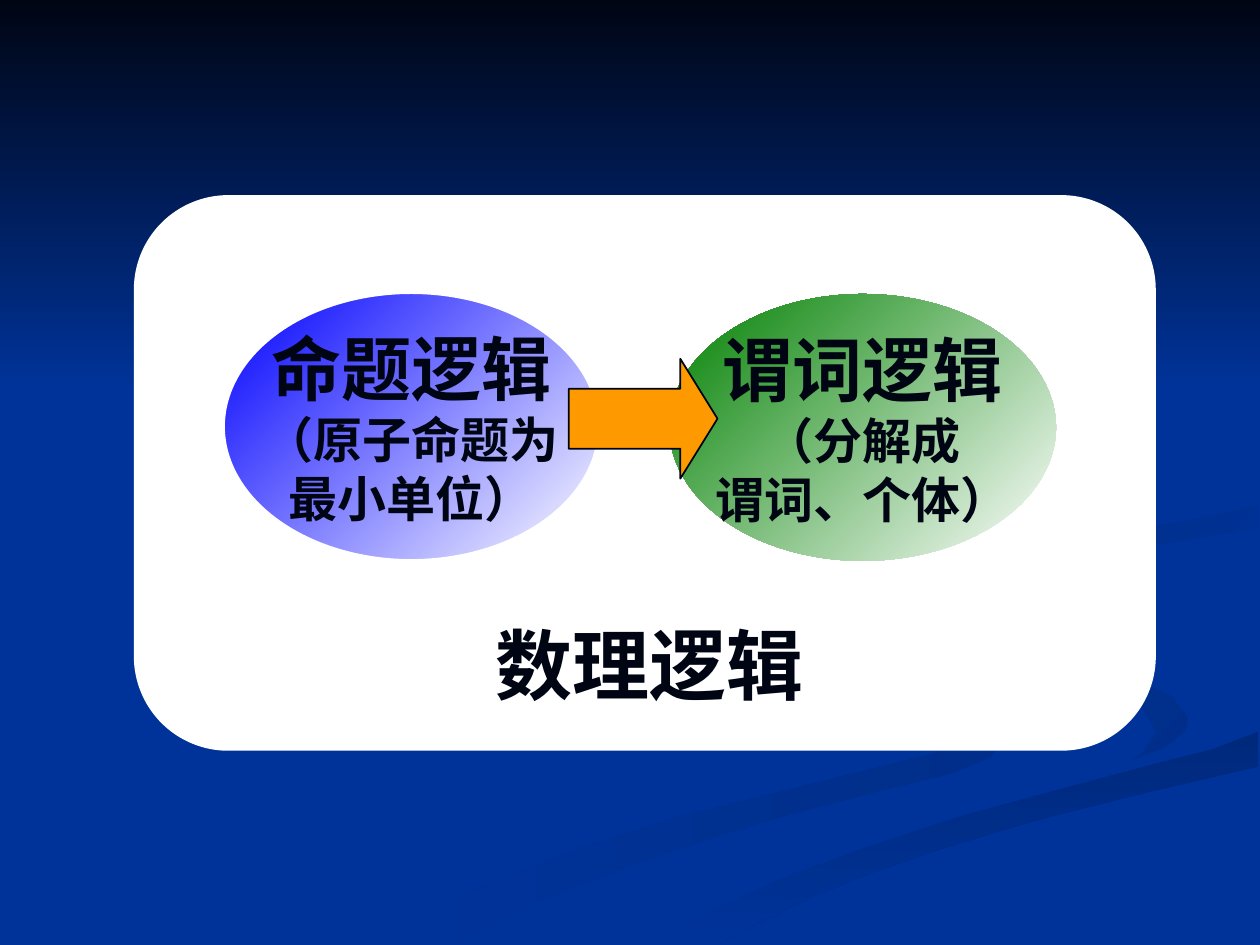
import pptx
import pptx.dml.color
import pptx.enum.shapes
import pptx.enum.text
import pptx.util

Pt = pptx.util.Pt
SHAPE = pptx.enum.shapes.MSO_SHAPE
ANCHOR = pptx.enum.text.MSO_ANCHOR

COLORS = {
    "background": "003399", "ink": "000514", "panel": "FFFFFF",
    "arrow": "FF9900", "propositional": "0000FF", "predicate": "008000",
    "band": "002E8A", "wave": "00297C", "curl": "002C85",
}

TITLE = ("数理逻辑", 44, (269, 349, 205, 60.5))

LOGICS = [
    {"lines": [("谓词逻辑", 40), ("（分解成", 28), ("谓词、个体）", 28)],
     "box": (382.5, 168, 221, 152.5), "color": "predicate", "line": None},
    {"lines": [("命题逻辑", 40), ("（原子命题为", 28), ("最小单位）", 28)],
     "box": (127.5, 167, 215, 153.5), "color": "propositional", "line": ("panel", 2)},
]

WAVE_TOP = [(410, 518), (454, 499), (501, 482), (550, 466), (598, 453),
            (650, 439), (693, 428), (719, 418)]
RIBBON_TOP = [(526, 345), (536, 353), (570, 366), (612, 377), (652, 389),
              (670, 398), (679, 410)]
CURL_TOP = [(719, 289), (672, 299), (623, 305), (592, 312), (570, 322)]

SWOOSHES = [
    (("band", "background", 180), [
        (562, 398), (536, 387), (491, 374), (451, 361), (423, 346), (413, 334),
        (412, 334), (415, 346), (440, 359), (489, 374), (534, 388), (562, 400),
        (566, 408), (557, 420), (532, 431), (492, 441), (444, 453), (388, 467),
        (330, 485), (271, 509), (243, 523), (216, 539), (260, 539), (310, 514),
        (359, 495), (406, 479), (449, 466), (503, 452), (544, 442), (566, 433),
        (574, 423), (576, 418), (572, 408)]),
    (("band", "background", 225), RIBBON_TOP[::-1] + [
        (521, 334), (523, 345), (537, 360), (562, 373), (603, 386), (634, 395),
        (653, 405), (661, 418), (653, 430), (644, 436), (660, 430), (671, 424),
        (678, 418)]),
    (("wave", "background", 90), [
        (374, 538), (362, 539), (411, 539), (432, 528), (467, 511), (500, 498),
        (541, 484), (591, 469), (650, 454), (719, 438)] + WAVE_TOP[::-1]),
    ("background", [(522, 334)] + RIBBON_TOP + [
        (678, 417), (667, 427), (642, 436), (607, 445), (562, 456), (507, 472),
        (446, 492), (379, 521), (343, 539), (362, 539), (374, 538)] + WAVE_TOP + [
        (719, 387), (678, 379), (624, 366), (588, 354), (566, 341), (562, 333)]
        + CURL_TOP[::-1] + [
        (719, 279), (662, 289), (598, 299), (554, 307), (527, 321)]),
    (("background", "curl", 225), [
        (562, 331), (566, 341), (580, 351), (595, 357), (582, 348), (580, 340),
        (588, 330), (607, 323), (632, 316), (674, 309), (719, 302)] + CURL_TOP),
]


def rgb(name):
    return pptx.dml.color.RGBColor.from_string(COLORS[name])


def set_fill(fill, paint):
    if isinstance(paint, str):
        fill.solid()
        fill.fore_color.rgb = rgb(paint)
        return
    *names, clockwise_angle = paint
    fill.gradient()
    fill.gradient_angle = 360 - clockwise_angle
    for stop, name in zip(fill.gradient_stops, names):
        stop.color.rgb = rgb(name)


def style(shape, paint, line=None):
    shape.shadow.inherit = False
    set_fill(shape.fill, paint)
    if line:
        name, width = line
        set_fill(shape.line.fill, name)
        shape.line.width = Pt(width)
    else:
        shape.line.fill.background()
    return shape


def add_preset(slide, kind, box, paint, line=None):
    shape = slide.shapes.add_shape(kind, *map(Pt, box))
    return style(shape, paint, line)


def write(shape, lines, anchor, wrap):
    frame = shape.text_frame
    frame_format = {
        "auto_size": pptx.enum.text.MSO_AUTO_SIZE.NONE,
        "vertical_anchor": anchor, "word_wrap": wrap,
        "margin_left": Pt(7.2), "margin_right": Pt(7.2),
        "margin_top": Pt(3.6), "margin_bottom": Pt(3.6),
    }
    for name, value in frame_format.items():
        setattr(frame, name, value)
    for index, (text, size) in enumerate(lines):
        paragraph = frame.add_paragraph() if index else frame.paragraphs[0]
        paragraph.alignment = pptx.enum.text.PP_ALIGN.CENTER
        run = paragraph.add_run()
        run.text = text
        font_format = {"name": "Times New Roman", "size": Pt(size), "bold": True}
        for name, value in font_format.items():
            setattr(run.font, name, value)
        run.font.color.rgb = rgb("ink")


def add_backdrop(slide):
    set_fill(slide.background.fill, "background")
    for paint, points in SWOOSHES:
        builder = slide.shapes.build_freeform(*points[0], scale=Pt(1))
        builder.add_line_segments(points[1:], close=True)
        style(builder.convert_to_shape(), paint)
    add_preset(slide, SHAPE.RECTANGLE, (0, 0, 720, 222), ("ink", "background", 90))


def add_diagram(slide):
    panel = add_preset(slide, SHAPE.ROUNDED_RECTANGLE, (76.5, 111.5, 584, 317.5), "panel")
    panel.adjustments[0] = 0.17
    for logic in LOGICS:
        ellipse = add_preset(slide, SHAPE.OVAL, logic["box"],
                             ("panel", logic["color"], 225), logic["line"])
        write(ellipse, logic["lines"], ANCHOR.MIDDLE, False)
    arrow = add_preset(slide, SHAPE.RIGHT_ARROW, (325, 205, 85, 68.5), "arrow", ("ink", 1))
    arrow.adjustments[1] = 0.31


def place_title(slide):
    text, size, box = TITLE
    title = slide.shapes.title
    for name, value in zip(("left", "top", "width", "height"), box):
        setattr(title, name, Pt(value))
    write(title, [(text, size)], ANCHOR.TOP, True)
    title.element.getparent().append(title.element)


def main():
    presentation = pptx.Presentation()
    presentation.slide_width = Pt(720)
    presentation.slide_height = Pt(540)
    slide = presentation.slides.add_slide(presentation.slide_layouts[5])
    add_backdrop(slide)
    add_diagram(slide)
    place_title(slide)
    presentation.save("out.pptx")


if __name__ == "__main__":
    main()
